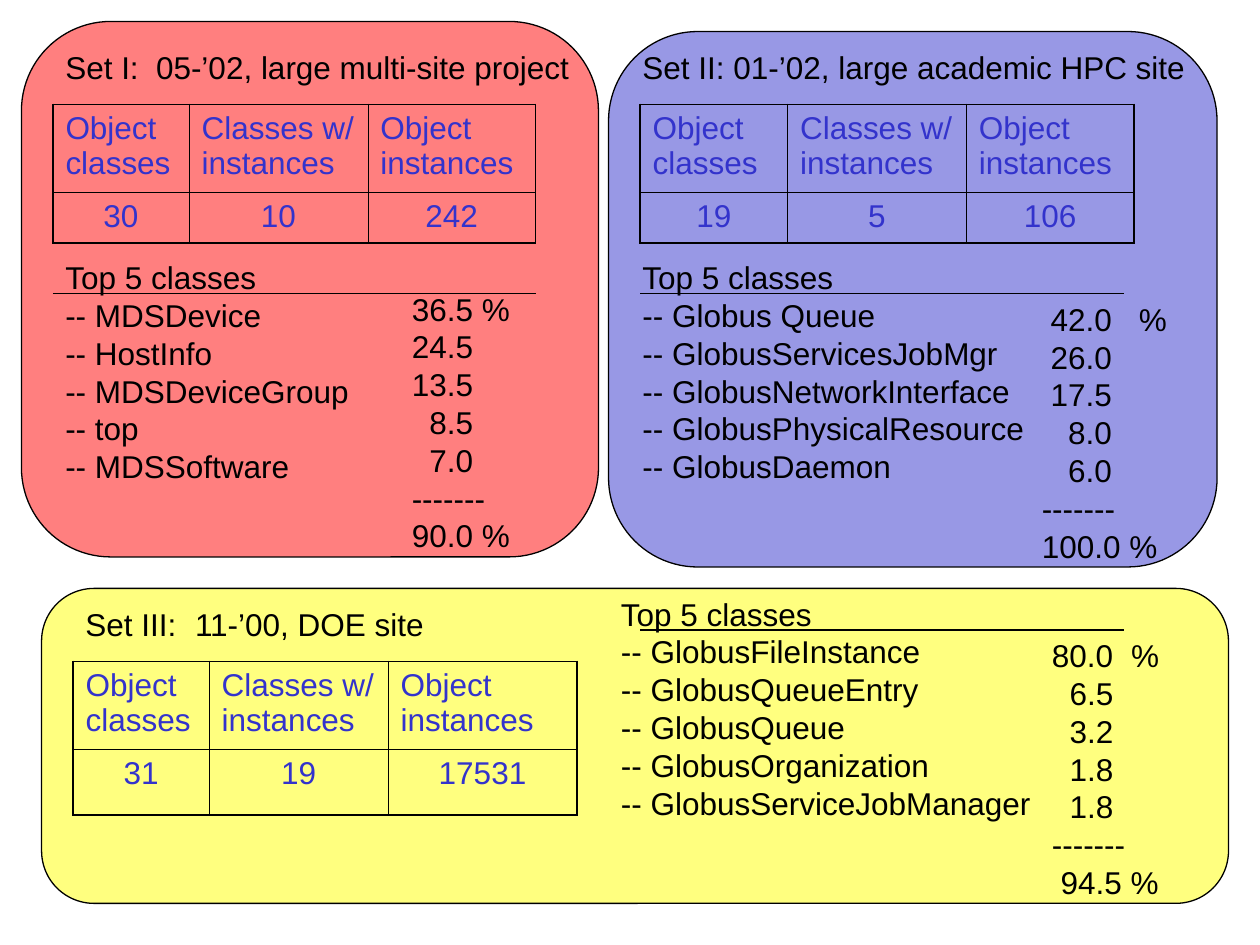
from pptx import Presentation
from pptx.dml.color import RGBColor
from pptx.enum.shapes import MSO_CONNECTOR, MSO_SHAPE
from pptx.enum.text import MSO_AUTO_SIZE, PP_ALIGN
from pptx.oxml.ns import qn
from pptx.util import Inches, Pt
from lxml.etree import SubElement

BLACK = RGBColor(0, 0, 0)
BLUE = RGBColor(0x33, 0x33, 0xCC)
RED = RGBColor(0xFF, 0, 0)
YELLOW = RGBColor(0xFF, 0xFF, 0)


def style(para, color):
    para.font.name = "Arial"
    para.font.size = Pt(18)
    para.font.color.rgb = color


def write(left, top, width, lines, stops=()):
    height = 0.3 * len(lines) + 0.1
    box = slide.shapes.add_textbox(Inches(left), Inches(top), Inches(width), Inches(height))
    frame = box.text_frame
    frame.word_wrap = True
    frame.auto_size = MSO_AUTO_SIZE.SHAPE_TO_FIT_TEXT
    frame.text = "\n".join(lines)
    for para in frame.paragraphs:
        para.line_spacing = Pt(21.6)
        if stops:
            tabs = SubElement(para._p.get_or_add_pPr(), qn("a:tabLst"))
            for stop in stops:
                SubElement(tabs, qn("a:tab"), pos=str(Inches(stop)), algn="l")
        style(para, BLACK)


deck = Presentation()
deck.slide_width = Inches(10)
deck.slide_height = Inches(7.5)
slide = deck.slides.add_slide(deck.slide_layouts[6])

panels = [
    (0.33, 4.67, 9.42, 2.5, YELLOW),
    (4.83, 0.25, 4.83, 4.25, BLUE),
    (0.17, 0.17, 4.58, 4.25, RED),
]
for left, top, width, height, color in panels:
    panel = slide.shapes.add_shape(
        MSO_SHAPE.ROUNDED_RECTANGLE, Inches(left), Inches(top), Inches(width), Inches(height)
    )
    panel.shadow.inherit = False
    panel.fill.solid()
    panel.fill.fore_color.rgb = color
    tint = panel._element.spPr.find(qn("a:solidFill"))[0]
    SubElement(tint, qn("a:alpha"), val="50000")
    panel.line.color.rgb = BLACK
    panel.line.width = Pt(0.75)

heads = ["Object classes", "Classes w/ instances", "Object instances"]
tables = [
    (0.42, 0.83, [1.08, 1.42, 1.33], 0.4, ["30", "10", "242"]),
    (0.58, 5.25, [1.08, 1.42, 1.5], 0.52, ["31", "19", "17531"]),
    (5.08, 0.83, [1.17, 1.42, 1.33], 0.4, ["19", "5", "106"]),
]
for left, top, widths, low, counts in tables:
    table = slide.shapes.add_table(
        2, 3, Inches(left), Inches(top), Inches(sum(widths)), Inches(0.7 + low)
    ).table
    table.first_row = False
    table.horz_banding = False
    for col, width in zip(table.columns, widths):
        col.width = Inches(width)
    for row, height in zip(table.rows, [0.7, low]):
        row.height = Inches(height)
    for r, texts in enumerate([heads, counts]):
        for c, text in enumerate(texts):
            cell = table.cell(r, c)
            cell.text = text
            para = cell.text_frame.paragraphs[0]
            para.alignment = PP_ALIGN.CENTER if r else PP_ALIGN.LEFT
            style(para, BLUE)
            props = cell._tc.get_or_add_tcPr()
            outer = {"L": c == 0, "R": c == 2, "T": r == 0, "B": r == 1}
            for side, edge in outer.items():
                line = SubElement(props, qn("a:ln" + side), w=str(Pt(1.08 if edge else 0.45)))
                fill = SubElement(line, qn("a:solidFill"))
                SubElement(fill, qn("a:srgbClr"), val=str(BLACK))
            cell.fill.background()

write(0.42, 0.33, 4.3, ["Set I:\t05-’02, large multi-site project"], [0.72])
write(5, 0.33, 4.6, ["Set II: 01-’02, large academic HPC site"])
write(0.58, 4.75, 3, ["Set III:\t11-’00, DOE site"], [0.87])

ranks = [
    (0.42, 2, 2.6, ["MDSDevice", "HostInfo", "MDSDeviceGroup", "top", "MDSSoftware"]),
    (5, 2, 3.35, ["Globus Queue", "GlobusServicesJobMgr", "GlobusNetworkInterface",
                  "GlobusPhysicalResource", "GlobusDaemon"]),
    (4.83, 4.67, 3.55, ["GlobusFileInstance", "GlobusQueueEntry", "GlobusQueue",
                        "GlobusOrganization", "GlobusServiceJobManager"]),
]
for left, top, width, names in ranks:
    write(left, top, width, ["Top 5 classes"] + ["-- " + name for name in names])

shares = [
    (3.17, 2.25, 1.1, ["36.5 %", "24.5", "13.5", "\t8.5", "\t7.0"], "90.0 %", [0.14]),
    (8.25, 5, 1.2, ["80.0\t%", "\t\t6.5", "\t\t3.2", "\t\t1.8", "\t\t1.8"], "\t94.5 %",
     [0.07, 0.14, 0.63]),
    (8.17, 2.33, 1.4, ["\t42.0\t%", "\t26.0", "\t17.5", "\t\t8.0", "\t\t6.0"], "100.0 %",
     [0.07, 0.21, 0.77]),
]
for left, top, width, parts, total, stops in shares:
    write(left, top, width, parts + ["-------", total], stops)

for left, right, top in [(5.08, 8.92, 5), (5.08, 8.92, 2.33), (0.42, 4.25, 2.33)]:
    rule = slide.shapes.add_connector(
        MSO_CONNECTOR.STRAIGHT, Inches(left), Inches(top), Inches(right), Inches(top)
    )
    rule.line.color.rgb = BLACK
    rule.line.width = Pt(0.75)
    SubElement(rule._element.spPr, qn("a:effectLst"))

deck.save("out.pptx")
